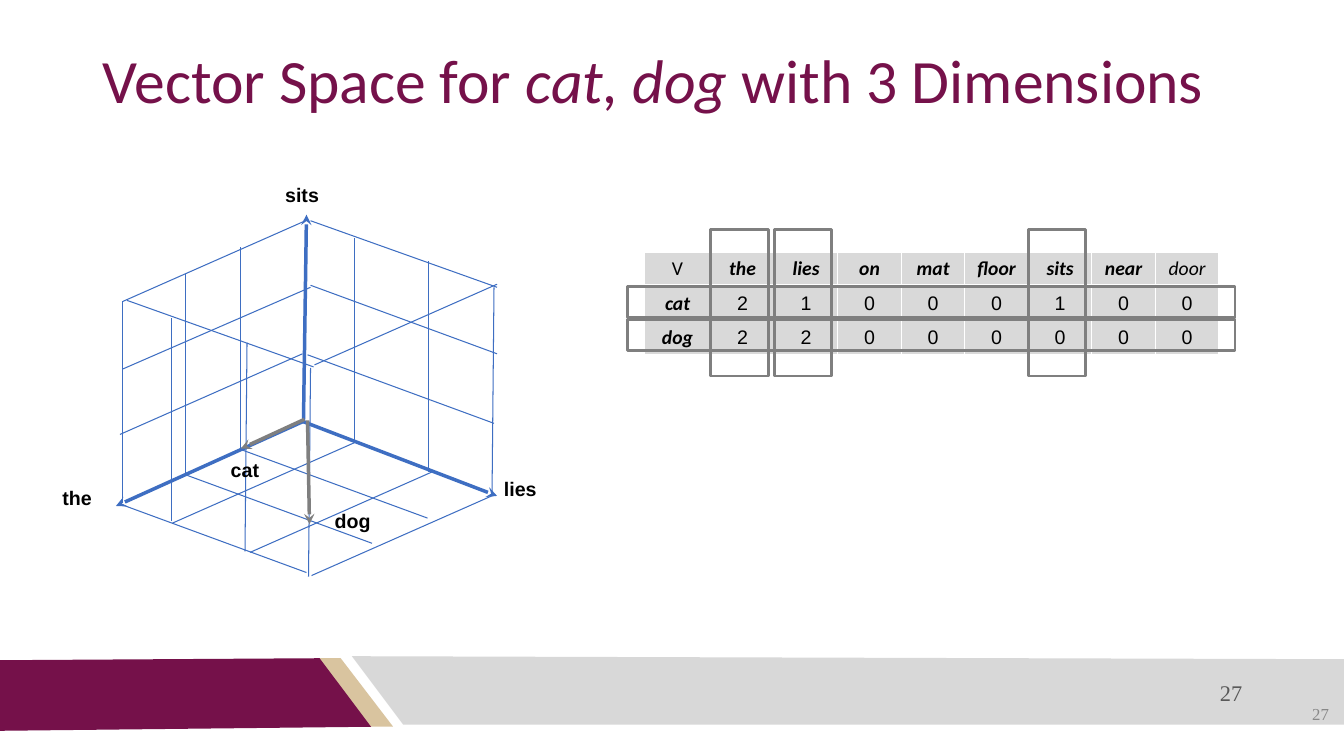
from dataclasses import dataclass

from lxml import etree
from pptx import Presentation
from pptx import util as u
from pptx.dml.color import RGBColor
from pptx.enum import shapes, text
from pptx.oxml import ns


@dataclass(frozen=True)
class Theme:
    plum: str = "75114A"
    sand: str = "D9C49F"
    band: str = "D8D8D8"
    cell: str = "D9D9D9"
    axis: str = "3E6EC2"
    marker: str = "7F7F7F"
    number: str = "595959"
    corner: str = "888888"
    black: str = "000000"
    white: str = "FFFFFF"
    title_size: int = 44
    number_size: int = 16
    body_size: int = 14
    corner_size: int = 12
    thin: float = 0.75
    thick: float = 2.5
    frame: float = 2
    body_font: str = "Calibri"
    label_font: str = "Arial"
    number_font: str = "Times New Roman"


def apply(target, **values):
    for name, value in values.items():
        setattr(target, name, value)


def add_tag(parent, tag, **attributes):
    return etree.SubElement(parent, ns.qn(tag), attributes)


class SlideBuilder:
    def __init__(self, slide, theme):
        self.slide = slide
        self.theme = theme

    def add_words(self, paragraph, content, font, size, color, bold=False, italic=False):
        run = paragraph.add_run()
        run.text = content
        apply(run.font, name=font, size=u.Pt(size), bold=bold, italic=italic)
        run.font.color.rgb = RGBColor.from_string(color)

    def text_box(self, box, runs, font, size, color, inset=0.05, wrap=True,
                 alignment=text.PP_ALIGN.LEFT, spacing=1.0, bold=False):
        frame = self.slide.shapes.add_textbox(*map(u.Inches, box)).text_frame
        apply(frame, word_wrap=wrap, vertical_anchor=text.MSO_ANCHOR.TOP,
              margin_left=u.Inches(0.1), margin_right=u.Inches(0.1),
              margin_top=u.Inches(inset), margin_bottom=u.Inches(inset))
        paragraph = frame.paragraphs[0]
        apply(paragraph, alignment=alignment, line_spacing=spacing)
        for content, italic in runs:
            self.add_words(paragraph, content, font, size, color, bold, italic)

    def label(self, content, left, top, width):
        theme = self.theme
        self.text_box((left, top, width, 0.34), [(content, False)], theme.label_font,
                      theme.body_size, theme.black, wrap=False, bold=True)

    def polygon(self, points, color):
        corners = [(u.Inches(x), u.Inches(y)) for x, y in points]
        builder = self.slide.shapes.build_freeform(*corners[0], scale=1.0)
        builder.add_line_segments(corners[1:], close=True)
        shape = builder.convert_to_shape()
        shape.shadow.inherit = False
        shape.fill.solid()
        shape.fill.fore_color.rgb = RGBColor.from_string(color)
        shape.line.fill.background()

    def outline(self, box):
        shape = self.slide.shapes.add_shape(
            shapes.MSO_SHAPE.RECTANGLE, *map(u.Inches, box))
        shape.shadow.inherit = False
        shape.fill.background()
        shape.line.color.rgb = RGBColor.from_string(self.theme.marker)
        shape.line.width = u.Pt(self.theme.frame)

    def line(self, start, end, color, width, arrow=False, group=None):
        parent = group or self.slide
        connector = parent.shapes.add_connector(
            shapes.MSO_CONNECTOR.STRAIGHT, *map(u.Inches, (*start, *end)))
        connector.line.color.rgb = RGBColor.from_string(color)
        connector.line.width = u.Pt(width)
        properties = connector._element.spPr
        if arrow:
            add_tag(properties.find(ns.qn("a:ln")), "a:tailEnd", type="stealth")
        add_tag(properties, "a:effectLst")

    def borders(self, cell, bottom):
        properties = cell._tc.get_or_add_tcPr()
        for index, side in enumerate("LRTB"):
            width = u.Pt(bottom if side == "B" else 1)
            border = etree.Element(ns.qn(f"a:ln{side}"), w=str(int(width)))
            fill = add_tag(border, "a:solidFill")
            add_tag(fill, "a:srgbClr", val=self.theme.white)
            properties.insert(index, border)

    def table(self, left, top, widths, row_height, rows):
        theme = self.theme
        table = self.slide.shapes.add_table(
            len(rows), len(widths), u.Inches(left), u.Inches(top),
            u.Inches(sum(widths)), u.Inches(row_height * len(rows))).table
        apply(table, first_row=False, horz_banding=False)
        for column, width in zip(table.columns, widths):
            column.width = u.Inches(width)
        for r, row in enumerate(rows):
            table.rows[r].height = u.Inches(row_height)
            for c, content in enumerate(row):
                cell = table.cell(r, c)
                apply(cell, vertical_anchor=text.MSO_ANCHOR.MIDDLE,
                      margin_left=u.Inches(0.1), margin_right=u.Inches(0.1),
                      margin_top=u.Inches(0.05), margin_bottom=u.Inches(0.05))
                cell.fill.solid()
                cell.fill.fore_color.rgb = RGBColor.from_string(theme.cell)
                self.borders(cell, 3 if r == 0 else 1)
                paragraph = cell.text_frame.paragraphs[0]
                paragraph.alignment = text.PP_ALIGN.CENTER
                word = not content.isdigit()
                self.add_words(paragraph, content,
                               theme.body_font if word else theme.label_font,
                               theme.body_size, theme.black,
                               bold=word and content not in ("V", "door"),
                               italic=word and content != "V")


def main():
    theme = Theme()
    presentation = Presentation()
    apply(presentation, slide_width=u.Inches(13.33), slide_height=u.Inches(7.5))
    slide = presentation.slides.add_slide(presentation.slide_layouts[6])
    builder = SlideBuilder(slide, theme)

    builder.polygon([(3.16, 6.53), (3.38, 6.53), (3.9, 7.21), (3.67, 7.21)], theme.sand)
    builder.polygon([(0, 6.55), (3.17, 6.53), (3.68, 7.21), (0, 7.25)], theme.plum)
    builder.polygon([(13.33, 7.19), (4, 7.19), (3.49, 6.51), (13.33, 6.54)], theme.band)

    builder.text_box(
        (0.92, 0.4, 11.5, 1.45),
        [("Vector Space for ", False), ("cat, dog ", True), ("with 3 Dimensions", False)],
        theme.body_font, theme.title_size, theme.plum, inset=0.1, spacing=0.9)

    cube = slide.shapes.add_group_shape()
    for start, end in [((3, 4.18), (4.93, 4.92)), ((3.01, 4.18), (3.04, 2.13)),
                       ((3.01, 4.18), (1.15, 5.02))]:
        builder.line(start, end, theme.axis, theme.thick, arrow=True, group=cube)
    grid_lines = [
        ((0, -2), [(1.22, 4.99), (1.84, 4.72), (2.39, 4.45)]),
        ((0, -2.02), [(1.7, 5.17), (3.52, 4.38)]),
        ((0, -2.09), [(4.25, 4.68)]),
        ((0.02, -2.07), [(3.06, 5.72), (2.43, 5.47), (4.88, 4.92)]),
        ((-1.85, -0.66), [(3.11, 3.64), (4.93, 2.85)]),
        ((-1.85, -0.68), [(3.04, 5.68), (4.9, 4.2), (4.93, 3.51),
                          (4.24, 5.14), (3.69, 5.39)]),
        ((-1.81, 0.8), [(3.03, 2.19), (4.93, 2.82), (4.9, 4.91), (4.29, 4.68),
                        (3.52, 4.39), (3, 3.51)]),
        ((-1.86, 0.81), [(3.08, 2.85)]),
    ]
    for (dx, dy), starts in grid_lines:
        for x, y in starts:
            builder.line((x, y), (x + dx, y + dy), theme.axis, theme.thin, group=cube)

    for label in [("cat", 2.19, 4.49, 0.48), ("dog", 3.22, 5, 0.56),
                  ("sits", 2.73, 1.77, 0.54), ("lies", 4.9, 4.68, 0.53),
                  ("the", 0.52, 4.77, 0.59)]:
        builder.label(*label)
    for start, end in [((3.02, 4.16), (2.39, 4.45)), ((3.05, 4.17), (3.07, 5.2))]:
        builder.line(start, end, theme.marker, theme.thick, arrow=True)

    for box, size, color in [
            ((7.92, 6.69, 4.5, 0.4), theme.number_size, theme.number),
            ((12.48, 6.93, 0.8, 0.57), theme.corner_size, theme.corner)]:
        builder.text_box(box, [("27", False)], theme.number_font, size, color,
                         alignment=text.PP_ALIGN.RIGHT)

    builder.table(6.39, 2.5, [0.66] + [0.63] * 8, 0.34, [
        ["V", "the", "lies", "on", "mat", "floor", "sits", "near", "door"],
        ["cat", *"21000100"],
        ["dog", *"22000000"],
    ])
    for top in (2.84, 3.17):
        builder.outline((6.22, top, 6.03, 0.31))
    for column in (0, 1, 5):
        builder.outline((7.05 + 0.63 * column, 2.28, 0.57, 1.45))

    presentation.save("out.pptx")


if __name__ == "__main__":
    main()
